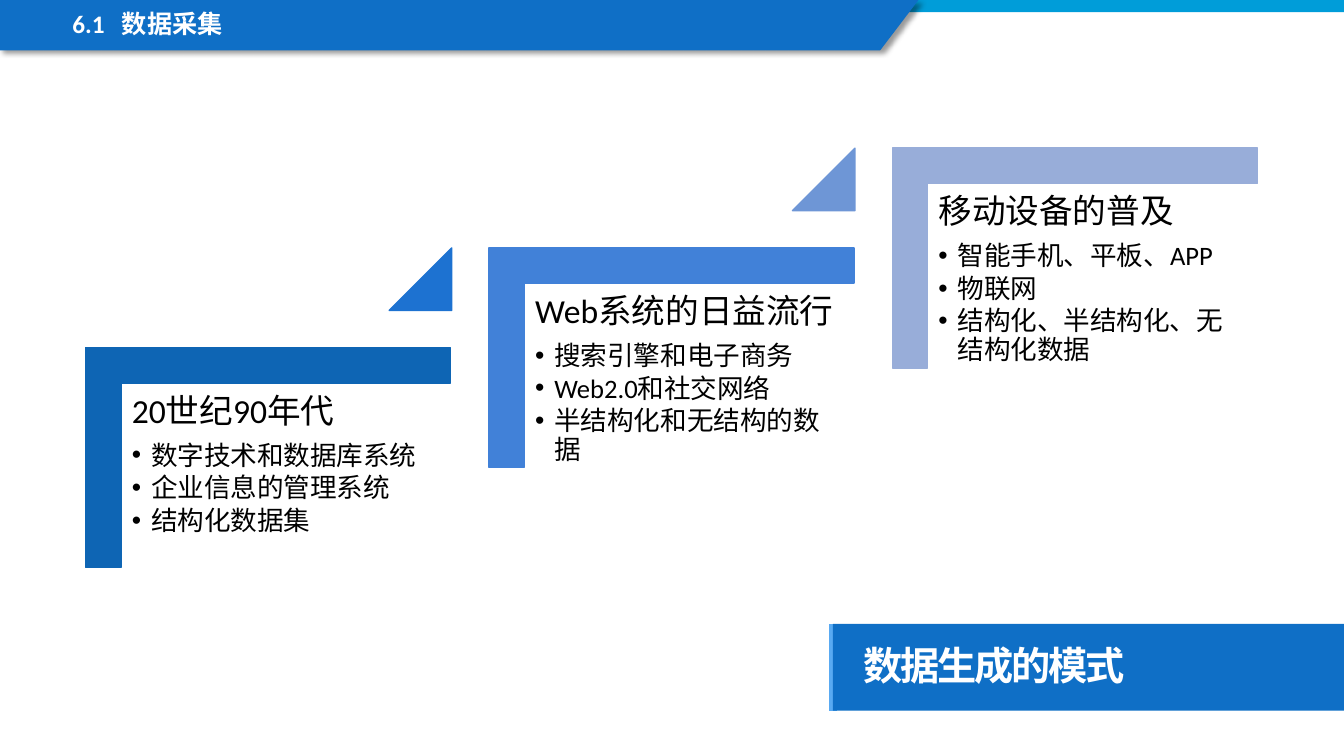
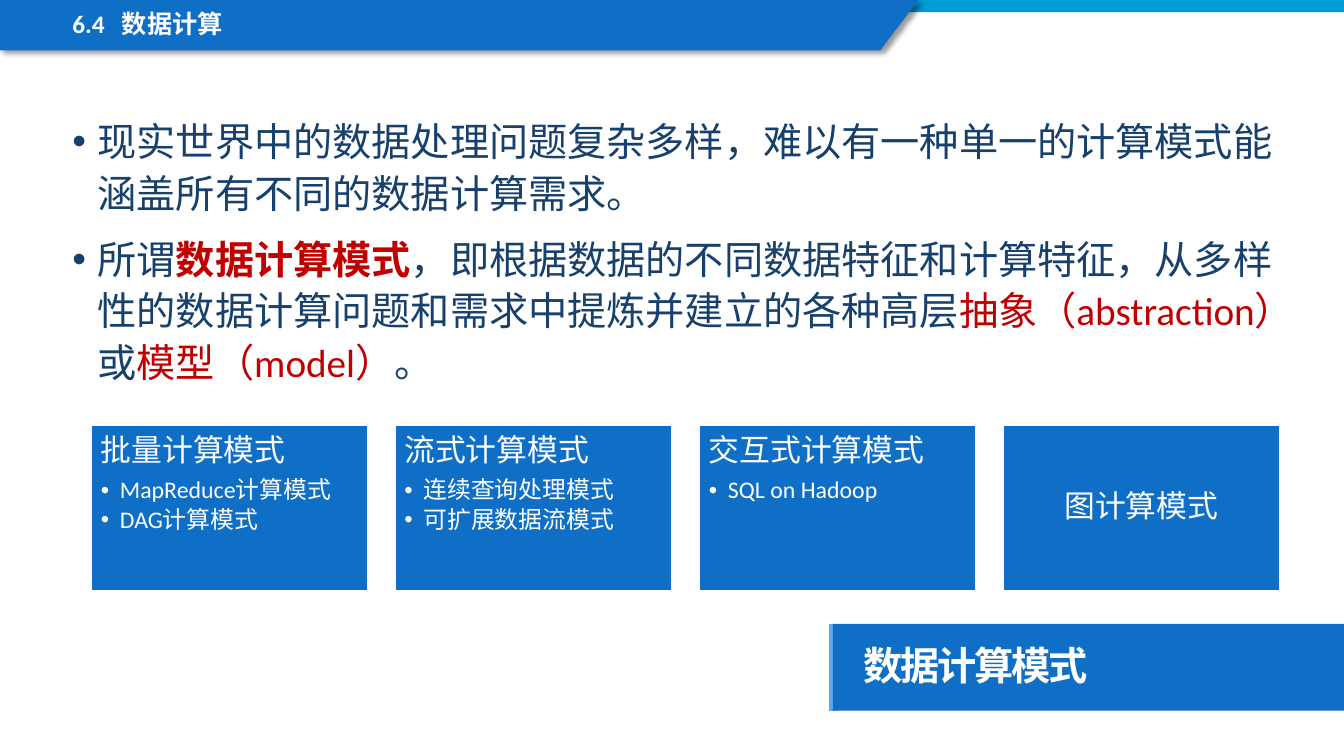
"""Build two slides on data collection and data computing."""
from dataclasses import dataclass

from lxml import etree
from pptx import Presentation
from pptx.dml.color import RGBColor
from pptx.enum.lang import MSO_LANGUAGE_ID
from pptx.enum.shapes import MSO_CONNECTOR, MSO_SHAPE
from pptx.enum.text import MSO_ANCHOR, PP_ALIGN
from pptx.oxml.ns import qn
from pptx.util import Emu, Pt

RECTANGLE = MSO_SHAPE.RECTANGLE
CORNER = MSO_SHAPE.CORNER
TRIANGLE = MSO_SHAPE.ISOSCELES_TRIANGLE
STRAIGHT = MSO_CONNECTOR.STRAIGHT
TOP, MIDDLE = MSO_ANCHOR.TOP, MSO_ANCHOR.MIDDLE
LEFT, CENTER = PP_ALIGN.LEFT, PP_ALIGN.CENTER
CHINESE = MSO_LANGUAGE_ID.SIMPLIFIED_CHINESE

PX = 9144
PAGE_WIDTH, PAGE_HEIGHT = 1333, 750
BODY_FONT, TITLE_FONT = "Calibri", "Noto Sans CJK SC"
BLUE, SKY, LIGHT_BLUE = "0F6FC6", "009DD9", "59AAF2"
NAVY, RED, WHITE, BLACK = "17406D", "C00000", "FFFFFF", "000000"


@dataclass(frozen=True)
class Span:
    text: str
    color: str
    bold: bool = False


@dataclass(frozen=True)
class Para:
    spans: tuple[Span, ...]
    size: int
    font: str = BODY_FONT
    line_spacing: float = 0.9
    before: float = 0
    after: float = 0
    bullet_indent: int = 0
    level: int = 0
    tab: int = 0
    tracking: int = 0
    align: PP_ALIGN = LEFT


@dataclass(frozen=True)
class Topic:
    heading: str
    items: tuple[str, ...]


@dataclass(frozen=True)
class Step:
    topic: Topic
    corner_color: str
    triangle_color: str | None = None


STEPS = (
    Step(Topic("20世纪90年代", ("数字技术和数据库系统", "企业信息的管理系统", "结构化数据集")),
         "0E65B4", "1D72D1"),
    Step(Topic("Web系统的日益流行", ("搜索引擎和电子商务", "Web2.0和社交网络", "半结构化和无结构的数据")),
         "4181D8", "6E96D6"),
    Step(Topic("移动设备的普及", ("智能手机、平板、APP", "物联网", "结构化、半结构化、无结构化数据")),
         "98ADD9"),
)
CARDS = (
    Topic("批量计算模式", ("MapReduce计算模式", "DAG计算模式")),
    Topic("流式计算模式", ("连续查询处理模式", "可扩展数据流模式")),
    Topic("交互式计算模式", ("SQL on Hadoop",)),
    Topic("图计算模式", ()),
)
STATEMENTS = (
    (Span("现实世界中的数据处理问题复杂多样，难以有一种单一的计算模式能涵盖所有不同的数据计算需求。", NAVY),),
    (
        Span("所谓", NAVY),
        Span("数据计算模式", RED, True),
        Span("，即根据数据的不同数据特征和计算特征，从多样性的数据计算问题和需求中提炼并建立的各种高层", NAVY),
        Span("抽象（abstraction）", RED),
        Span("或", NAVY),
        Span("模型（model）", RED),
        Span("。", NAVY),
    ),
)


def px(value: int) -> Emu:
    """Turn px into EMU."""
    return Emu(value * PX)


def rgb(value: str) -> RGBColor:
    """Turn a hex string into a colour."""
    return RGBColor.from_string(value)


def add_element(parent, tag: str, **attributes: str):
    """Append a drawing element and return it."""
    return etree.SubElement(parent, qn(tag), attributes)


def paint(shape, fill: str, line: str | None = None) -> None:
    """Set flat fill and outline."""
    shape.shadow.inherit = False
    shape.fill.solid()
    shape.fill.fore_color.rgb = rgb(fill)
    if line:
        shape.line.color.rgb = rgb(line)
        shape.line.width = Pt(1)
    else:
        shape.line.fill.background()


def add_block(page, kind: MSO_SHAPE, left: int, top: int, width: int, height: int,
              fill: str, line: str | None = None):
    """Add a flat preset shape."""
    shape = page.shapes.add_shape(kind, px(left), px(top), px(width), px(height))
    paint(shape, fill, line)
    return shape


def add_box(page, left: int, top: int, width: int, height: int):
    """Add a text box."""
    return page.shapes.add_textbox(px(left), px(top), px(width), px(height))


def write(box, paras: list[Para], insets: tuple[int, int, int, int] = (10, 5, 10, 5),
          anchor: MSO_ANCHOR = TOP) -> None:
    """Fill a shape with paragraphs, run by run."""
    frame = box.text_frame
    frame.word_wrap = True
    frame.vertical_anchor = anchor
    frame.margin_left, frame.margin_top, frame.margin_right, frame.margin_bottom = map(px, insets)
    for index, spec in enumerate(paras):
        para = frame.paragraphs[0] if index == 0 else frame.add_paragraph()
        properties = para._p.get_or_add_pPr()
        if spec.bullet_indent:
            indent = px(spec.bullet_indent)
            properties.set("marL", str(indent))
            properties.set("indent", str(-indent))
            add_element(properties, "a:buFont", typeface="Arial")
            add_element(properties, "a:buChar", char="•")
        if spec.tab:
            tabs = add_element(properties, "a:tabLst")
            add_element(tabs, "a:tab", pos=str(px(spec.tab)), algn="l")
        para.level = spec.level
        para.alignment = spec.align
        para.line_spacing = spec.line_spacing
        para.space_before = Pt(spec.before if index else 0)
        para.space_after = Pt(spec.after)
        for span in spec.spans:
            run = para.add_run()
            run.text = span.text
            font = run.font
            font.name = spec.font
            font.size = Pt(spec.size)
            font.bold = span.bold
            font.color.rgb = rgb(span.color)
            font.language_id = CHINESE
            add_element(run._r.rPr, "a:ea", typeface=spec.font)
            if spec.tracking:
                run._r.rPr.set("spc", str(spec.tracking))


def topic_paras(topic: Topic, color: str, heading_size: int, item_size: int) -> list[Para]:
    """Return a heading and its bulleted items."""
    align = LEFT if topic.items else CENTER
    heading = Para((Span(topic.heading, color),), heading_size,
                   after=heading_size * 0.35, align=align)
    return [heading] + [
        Para((Span(item, color),), item_size, after=item_size * 0.15, bullet_indent=19, level=1)
        for item in topic.items
    ]


def add_page(deck, section: str, title: str):
    """Add a blank page with section band and title bar."""
    page = deck.slides.add_slide(deck.slide_layouts[6])
    edge = page.shapes.add_connector(STRAIGHT, px(826), px(705), px(826), px(619))
    edge.line.color.rgb = rgb(LIGHT_BLUE)
    edge.line.width = Pt(6)
    add_element(edge._element.spPr, "a:effectLst")

    add_block(page, RECTANGLE, 0, 0, PAGE_WIDTH, 12, SKY)
    outline = page.shapes.build_freeform(0, 0, scale=PX)
    outline.add_line_segments([(911, 0), (873, 50), (0, 50)], close=True)
    band = outline.convert_to_shape()
    paint(band, BLUE)
    effects = band._element.spPr.find(qn("a:effectLst"))
    shadow = add_element(effects, "a:outerShdw", blurRad=str(Pt(4)), dist=str(Pt(3)),
                         dir="2700000", algn="tl", rotWithShape="0")
    shade = add_element(shadow, "a:srgbClr", val=BLACK)
    add_element(shade, "a:alpha", val="40000")

    write(add_box(page, 62, 7, 696, 38), [Para((Span(section, WHITE, True),), 18, tab=49)])
    bar = add_block(page, RECTANGLE, 826, 619, 507, 86, BLUE)
    write(bar, [Para((Span(title, WHITE, True),), 28, font=TITLE_FONT, tracking=-150)],
          (30, 20, 20, 20), MIDDLE)
    return page


def add_step(page, step: Step, index: int) -> None:
    """Draw one stair of the rising sequence."""
    across, rise = 400 * index, 99 * index
    corner = add_block(page, CORNER, 157 + across, 273 - rise, 218, 362,
                       step.corner_color, step.corner_color)
    corner.rotation = 90
    corner.adjustments[0] = corner.adjustments[1] = 0.16
    box = add_box(page, 121 + across, 381 - rise, 327, 286)
    write(box, topic_paras(step.topic, BLACK, 24, 19), (10, 10, 10, 10))
    if step.triangle_color:
        triangle = add_block(page, TRIANGLE, 386 + across, 246 - rise, 62, 62,
                             step.triangle_color, step.triangle_color)
        triangle.adjustments[0] = 1


def add_cards(page) -> None:
    """Draw the row of computing models at equal gaps."""
    left, right, width = 91, 1269, 274
    pitch = (right - left - width) / (len(CARDS) - 1)
    for index, topic in enumerate(CARDS):
        card = add_block(page, RECTANGLE, round(left + index * pitch), 422, width, 164, BLUE, WHITE)
        write(card, topic_paras(topic, WHITE, 22, 17), (9, 9, 9, 9),
              TOP if topic.items else MIDDLE)


def main() -> None:
    """Build and save the deck."""
    deck = Presentation()
    deck.slide_width, deck.slide_height = px(PAGE_WIDTH), px(PAGE_HEIGHT)

    page = add_page(deck, "6.1\t数据采集", "数据生成的模式")
    for index, step in enumerate(STEPS):
        add_step(page, step, index)

    page = add_page(deck, "6.4\t数据计算", "数据计算模式")
    write(add_box(page, 62, 107, 1235, 289), [
        Para(spans, 28, line_spacing=1.1, before=10, bullet_indent=25) for spans in STATEMENTS
    ])
    add_cards(page)
    deck.save("out.pptx")


if __name__ == "__main__":
    main()
